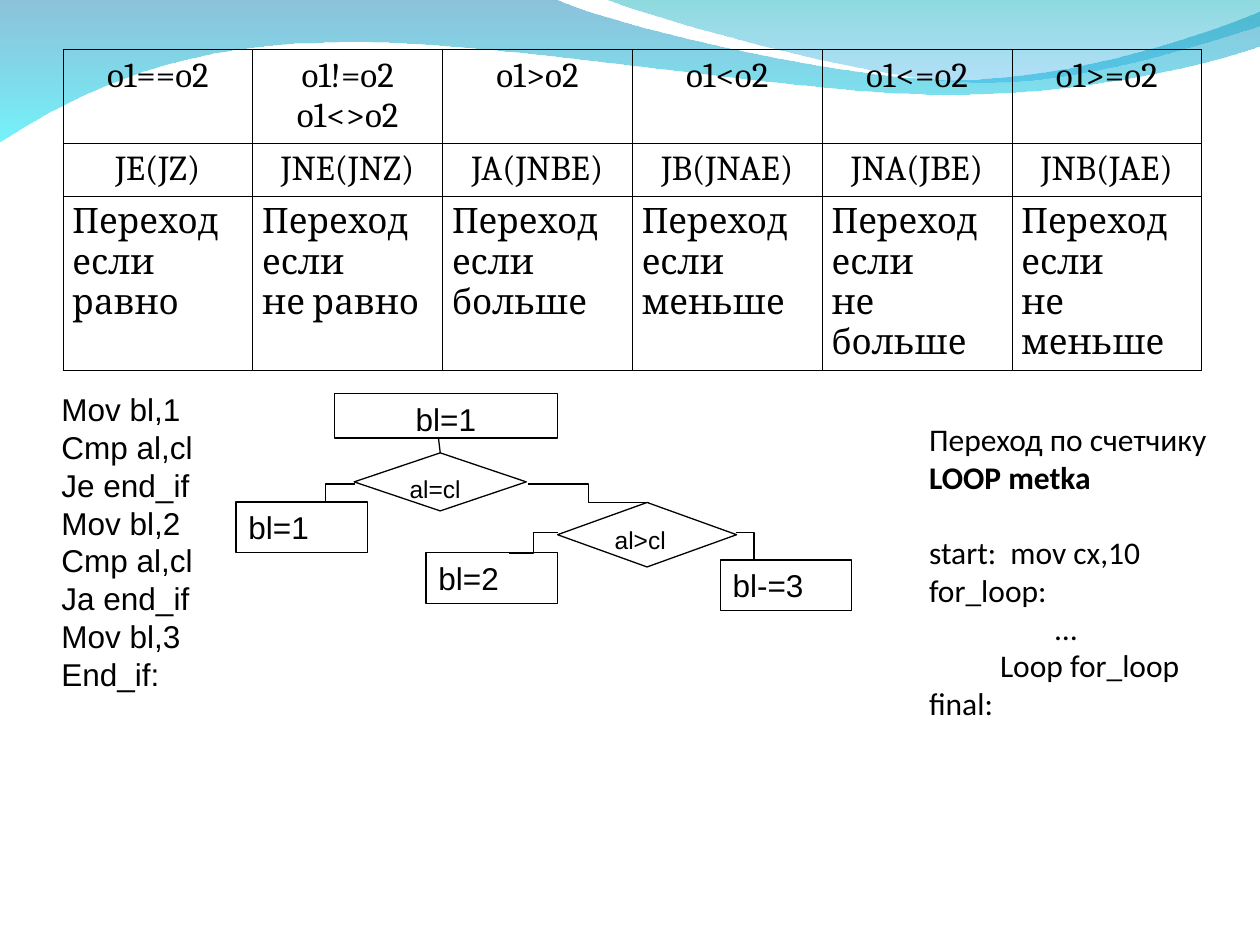
from lxml.etree import Element, SubElement
from pptx import Presentation
from pptx.dml.color import RGBColor
from pptx.enum.shapes import MSO_CONNECTOR, MSO_SHAPE
from pptx.enum.text import MSO_ANCHOR, PP_ALIGN
from pptx.oxml.ns import qn
from pptx.util import Cm, Pt

COLORS = {
    "ink": "000000", "paper": "FFFFFF",
    "blue": "0079AF", "cyan": "00EBF8", "teal": "00ADB6", "sky": "009BE5",
}

# Waves: start point, then straight (one point) or curved (three points) steps, in cm;
# stops are (colour, opacity in percent) from top to bottom
WAVES = [
    {"start": (0, -0.03),
     "steps": [
         [(11.18, -0.03)],
         [(12.09, 0.43), (16.87, 1.6), (19.25, 1.6)],
         [(21.67, 1.6), (24.33, 0.66), (25.4, 0.23)],
         [(25.43, 0.91)],
         [(24.97, 1.12), (22.1, 1.93), (18.95, 1.9)],
         [(15.8, 1.9), (9.7, 0.71), (6.53, 0.86)],
         [(3.25, 0.89), (1.17, 2.11), (-0.03, 2.87)],
     ],
     "stops": [("blue", 45), ("cyan", 55)]},
    {"start": (12.17, -0.03),
     "steps": [
         [(12.93, 0.28), (17.32, 1.57), (19.53, 1.65)],
         [(21.74, 1.75), (24.41, 0.81), (25.4, 0.53)],
         [(25.4, 0)],
     ],
     "stops": [("teal", 45), ("sky", 30)]},
]

# Table rows: height, alignment, cells as lists of paragraphs
JUMP_ROWS = [
    (1.7, PP_ALIGN.CENTER,
     [["o1==o2"], ["o1!=o2", "o1<>o2"], ["o1>o2"], ["o1<o2"], ["o1<=o2"], ["o1>=o2"]]),
    (0.84, PP_ALIGN.CENTER,
     [["JE(JZ)"], ["JNE(JNZ)"], ["JA(JNBE)"], ["JB(JNAE)"], ["JNA(JBE)"], ["JNB(JAE)"]]),
    (3.38, PP_ALIGN.JUSTIFY,
     [["Переход если равно"], ["Переход если", "не равно"], ["Переход если больше"],
      ["Переход если меньше"], ["Переход если", "не больше"], ["Переход если", "не меньше"]]),
]
TABLE_WIDTH = 22.96

BRANCH_CODE = ["Mov bl,1", "Cmp al,cl", "Je end_if", "Mov bl,2",
               "Cmp al,cl", "Ja end_if", "Mov bl,3", "End_if:"]

# Text, with optional bold, left indent in cm and space before in points
LOOP_CODE = [
    ("Переход по счетчику", {}),
    ("LOOP metka", {"bold": True}),
    ("start:  mov cx,10", {"before": 21.5}),
    ("for_loop:", {}),
    ("…", {"indent": 2.54}),
    ("Loop for_loop", {"indent": 1.43}),
    ("final:", {}),
]

# Flowchart: name, shape, text, size, alignment, (left, top, width, height)
PROCESS, DECISION = MSO_SHAPE.FLOWCHART_PROCESS, MSO_SHAPE.FLOWCHART_DECISION
NODES = [
    ("start", PROCESS, "bl=1", 18, PP_ALIGN.CENTER, (6.74, 7.93, 4.5, 0.9)),
    ("equal", DECISION, "al=cl", 14, PP_ALIGN.LEFT, (7.14, 9.13, 3.47, 1.17)),
    ("above", DECISION, "al>cl", 14, PP_ALIGN.LEFT, (11.24, 10.13, 3.61, 1.3)),
    ("one", PROCESS, "bl=1", 18, PP_ALIGN.LEFT, (4.76, 10.12, 2.65, 1.02)),
    ("two", PROCESS, "bl=2", 18, PP_ALIGN.LEFT, (8.59, 11.14, 2.65, 1.02)),
    ("three", PROCESS, "bl-=3", 18, PP_ALIGN.LEFT, (14.52, 11.29, 2.65, 1.02)),
]
ENTRY_LINE = (8.84, 8.84, 8.87, 9.13)
BRANCH_LINES = [
    (5.97, 10.13, 7.16, 9.76),
    (11.25, 10.74, 10.26, 11.15),
    (14.83, 10.74, 15.57, 11.3),
    (13.08, 10.13, 10.64, 9.76),
]


def color(name):
    return RGBColor.from_string(COLORS[name])


def write(frame, lines, font, size, align=PP_ALIGN.LEFT):
    for index, (text, style) in enumerate(lines):
        para = frame.paragraphs[0] if index == 0 else frame.add_paragraph()
        para.alignment = align
        if "indent" in style:
            para._p.get_or_add_pPr().set("marL", str(Cm(style["indent"])))
        if "before" in style:
            para.space_before = Pt(style["before"])
        span = para.add_run()
        span.text = text
        span.font.name = font
        span.font.size = Pt(size)
        span.font.bold = style.get("bold", False)
        span.font.color.rgb = color("ink")


def plain(lines):
    return [(line, {}) for line in lines]


def add_wave(page, start, steps, stops):
    builder = page.shapes.build_freeform(*map(Cm, start))
    builder.add_line_segments([tuple(map(Cm, step[-1])) for step in steps], close=True)
    wave = builder.convert_to_shape()
    # Turn the three-point steps into Bezier segments
    segments = list(wave._element.spPr.iter(qn("a:lnTo")))
    for segment, step in zip(segments, steps):
        if len(step) == 3:
            bend = Element(qn("a:cubicBezTo"))
            for x, y in step:
                SubElement(bend, qn("a:pt"), x=str(Cm(x) - wave.left), y=str(Cm(y) - wave.top))
            segment.getparent().replace(segment, bend)
    wave.shadow.inherit = False
    wave.line.fill.background()
    wave.fill.gradient()
    wave.fill.gradient_angle = 270
    for stop, place, (name, _) in zip(wave.fill.gradient_stops, (0, 1), stops):
        stop.position = place
        stop.color.rgb = color(name)
    for tint, (_, opacity) in zip(wave._element.spPr.iter(qn("a:srgbClr")), stops):
        SubElement(tint, qn("a:alpha")).set("val", str(opacity * 1000))


def add_borders(cell):
    properties = cell._tc.get_or_add_tcPr()
    for side in ("lnL", "lnR", "lnT", "lnB"):
        border = SubElement(properties, qn(f"a:{side}"), w=str(Pt(0.45)))
        fill = SubElement(border, qn("a:solidFill"))
        SubElement(fill, qn("a:srgbClr"), val=COLORS["ink"])


def add_line(page, kind, ends):
    line = page.shapes.add_connector(kind, *map(Cm, ends))
    line.line.color.rgb = color("ink")
    line.line.width = Pt(0.75)
    SubElement(line._element.spPr, qn("a:effectLst"))
    return line


def main():
    deck = Presentation()
    deck.slide_width, deck.slide_height = Cm(25.4), Cm(19.05)
    page = deck.slides.add_slide(deck.slide_layouts[6])

    # Background waves
    for wave in WAVES:
        add_wave(page, **wave)

    # Table of conditional jumps
    columns = len(JUMP_ROWS[0][2])
    height = sum(row[0] for row in JUMP_ROWS)
    table = page.shapes.add_table(len(JUMP_ROWS), columns, Cm(1.27), Cm(1),
                                  Cm(TABLE_WIDTH), Cm(height)).table
    table.first_row = table.horz_banding = False
    for column in table.columns:
        column.width = Cm(TABLE_WIDTH / columns)
    for row, (row_height, align, texts) in enumerate(JUMP_ROWS):
        table.rows[row].height = Cm(row_height)
        for column, lines in enumerate(texts):
            cell = table.cell(row, column)
            cell.margin_left = cell.margin_right = Cm(0.19)
            add_borders(cell)
            cell.fill.background()
            write(cell.text_frame, plain(lines), "Cambria", 20, align)

    # Code listings
    for place, lines, font, wrap in [
        ((18.48, 8.34, 6.12, 7.11), LOOP_CODE, "Calibri", False),
        ((0.99, 7.74, 4.95, 7.11), plain(BRANCH_CODE), "Arial", True),
    ]:
        box = page.shapes.add_textbox(*map(Cm, place))
        box.text_frame.word_wrap = wrap
        write(box.text_frame, lines, font, 18)

    # Flowchart
    nodes = {}
    for name, kind, text, size, align, place in NODES:
        node = nodes[name] = page.shapes.add_shape(kind, *map(Cm, place))
        node.shadow.inherit = False
        node.fill.solid()
        node.fill.fore_color.rgb = color("paper")
        node.line.color.rgb = color("ink")
        node.line.width = Pt(0.75)
        node.text_frame.vertical_anchor = MSO_ANCHOR.TOP
        write(node.text_frame, plain([text]), "Arial", size, align)
    entry = add_line(page, MSO_CONNECTOR.STRAIGHT, ENTRY_LINE)
    entry.end_connect(nodes["equal"], 0)
    for ends in BRANCH_LINES:
        add_line(page, MSO_CONNECTOR.ELBOW, ends)

    deck.save("out.pptx")


if __name__ == "__main__":
    main()
